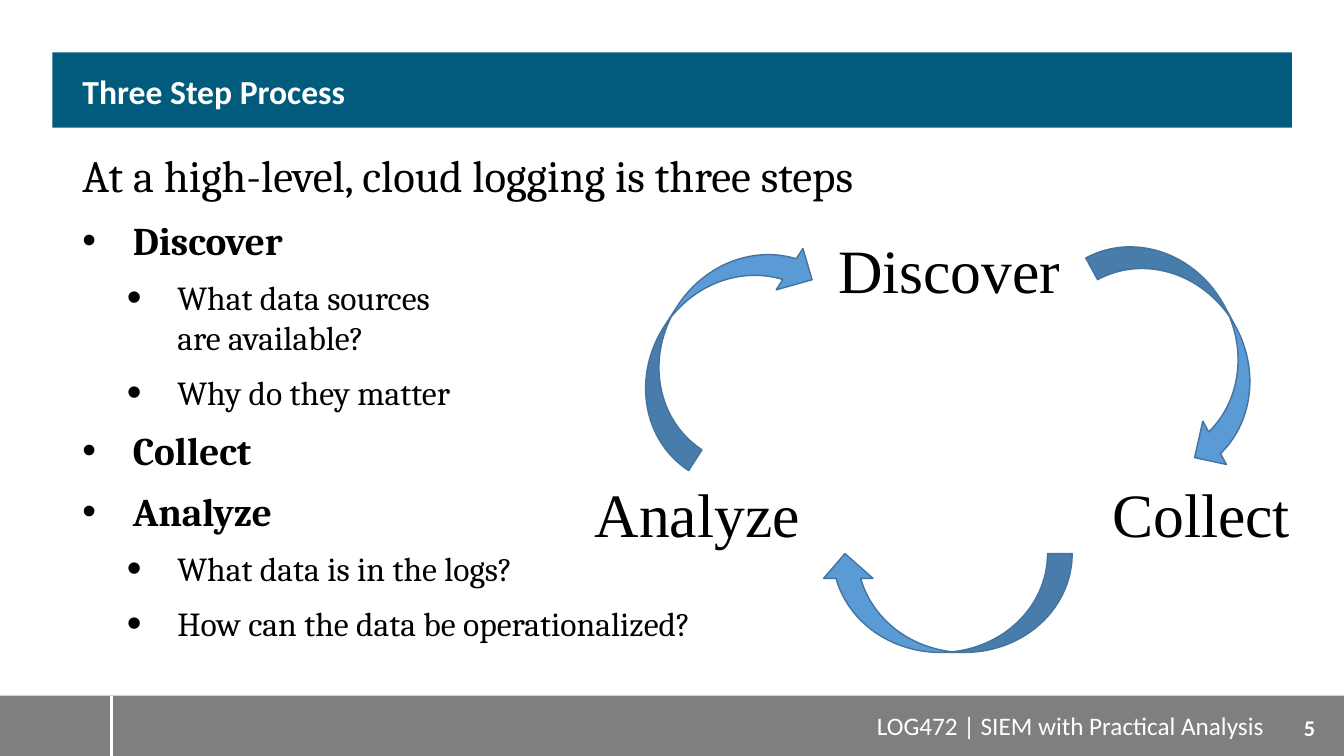
from collections import namedtuple

from lxml.etree import SubElement
from pptx import Presentation
from pptx.dml.color import RGBColor
from pptx.enum.shapes import MSO_CONNECTOR as Connector, MSO_SHAPE as Shape
from pptx.enum.text import MSO_ANCHOR as Anchor, PP_ALIGN as Align
from pptx.oxml.ns import qn
from pptx.util import Cm, Pt

WHITE = RGBColor(0xFF, 0xFF, 0xFF)
BLACK = RGBColor(0x00, 0x00, 0x00)
GRAY = RGBColor(0x7F, 0x7F, 0x7F)
TEAL = RGBColor(0x00, 0x5B, 0x7D)
ARROW_FILL = RGBColor(0x5B, 0x9B, 0xD5)
ARROW_LINE = RGBColor(0x43, 0x73, 0x9E)

Box = namedtuple("Box", "left top width height")

POINTS = [
    (0, "Discover"),
    (1, "What data sources\nare available?"),
    (1, "Why do they matter"),
    (0, "Collect"),
    (0, "Analyze"),
    (1, "What data is in the logs?"),
    (1, "How can the data be operationalized?"),
]
STEPS = [("Discover", 6.35, 0), ("Collect", 12.7, 6.15), ("Analyze", 0, 6.15)]
ARROWS = [(12.4, 1.73, 61.4), (6.27, 8.23, 180), (0.46, 1.55, 302.9)]


def add_run(paragraph, text, size, font_name, color, bold=False):
    """Append text to the paragraph, breaking lines at newlines."""
    for index, line in enumerate(text.split("\n")):
        if index:
            paragraph.add_line_break()
        run = paragraph.add_run()
        run.text = line
        run.font.size = Pt(size)
        run.font.name = font_name
        run.font.bold = bold
        run.font.color.rgb = color


def add_text_frame(slide, box, anchor=Anchor.TOP):
    """Add a wrapping text box and return its text frame."""
    shape = slide.shapes.add_textbox(*(Cm(length) for length in box))
    frame = shape.text_frame
    frame.word_wrap = True
    frame.vertical_anchor = anchor
    return frame


def add_label(slide, box, text, size, font_name, color, align, bold=False, anchor=Anchor.TOP):
    """Add a one-paragraph text box and return its text frame."""
    frame = add_text_frame(slide, box, anchor)
    paragraph = frame.paragraphs[0]
    paragraph.alignment = align
    add_run(paragraph, text, size, font_name, color, bold)
    return frame


def add_filled_shape(slide, kind, box, fill):
    """Add a preset shape with a solid fill, no line and no shadow."""
    shape = slide.shapes.add_shape(kind, *(Cm(length) for length in box))
    shape.shadow.inherit = False
    shape.fill.solid()
    shape.fill.fore_color.rgb = fill
    shape.line.fill.background()
    return shape


def add_bullet(paragraph, level):
    """Give the paragraph a hanging bullet that suits its level."""
    properties = paragraph._p.get_or_add_pPr()
    properties.set("marL", str(Cm(2.39 if level else 1.27)))
    properties.set("indent", str(-Cm(1.27)))
    if level:
        SubElement(properties, qn("a:buSzPct"), val="125000")
    SubElement(properties, qn("a:buFont"), typeface="Arial")
    SubElement(properties, qn("a:buChar"), char="•")


def add_footer(slide, box):
    """Draw the footer bar with its divider, course name and page number."""
    add_filled_shape(slide, Shape.RECTANGLE, box, GRAY)
    divider_x = Cm(box.left + 2.82)
    divider = slide.shapes.add_connector(
        Connector.STRAIGHT, divider_x, Cm(box.top), divider_x, Cm(box.top + box.height))
    divider.line.color.rgb = WHITE
    divider.line.width = Pt(2)
    SubElement(divider._element.spPr, qn("a:effectLst"))
    number_left = box.left + box.width - 1.77
    add_label(slide, Box(number_left - 16.93, box.top + 0.25, 16.93, 1.03),
              "LOG472 | SIEM with Practical Analysis", 18, "Calibri", WHITE, Align.RIGHT)
    add_label(slide, Box(number_left, box.top + 0.05, 1.8, box.height),
              "5", 16, "Calibri", WHITE, Align.CENTER, True, Anchor.MIDDLE)


def add_title(slide, box):
    """Draw the title bar and its heading."""
    add_filled_shape(slide, Shape.RECTANGLE, box, TEAL)
    heading_box = Box(box.left + 0.51, box.top, box.width - 1.02, box.height)
    frame = add_label(slide, heading_box, "Three Step Process", 24, "Calibri", WHITE,
                      Align.LEFT, True, Anchor.MIDDLE)
    frame.margin_top = Cm(0.18)
    frame.margin_bottom = 0
    frame.paragraphs[0].line_spacing = 0.9


def add_body(slide, box):
    """Write the lead sentence and the bulleted steps."""
    frame = add_text_frame(slide, box)
    add_run(frame.paragraphs[0], "At a high-level, cloud logging is three steps",
            32, "Cambria", BLACK)
    for level, text in POINTS:
        paragraph = frame.add_paragraph()
        paragraph.level = level
        paragraph.space_before = Pt(10)
        add_bullet(paragraph, level)
        add_run(paragraph, text, 24 if level else 28, "Cambria", BLACK, level == 0)


def add_cycle(slide, box):
    """Draw the three steps joined in a ring by curved arrows."""
    part_width = box.width / 3
    for text, left, top in STEPS:
        add_label(slide, Box(box.left + left, box.top + top, part_width, 2.13),
                  text, 44, "Times New Roman", BLACK, Align.CENTER)
    for left, top, rotation in ARROWS:
        arrow = add_filled_shape(
            slide, Shape.CURVED_DOWN_ARROW,
            Box(box.left + left, box.top + top, part_width, 2.49), ARROW_FILL)
        arrow.line.color.rgb = ARROW_LINE
        arrow.line.width = Pt(1)
        arrow.rotation = rotation


def main():
    """Build the slide and save it."""
    presentation = Presentation()
    presentation.slide_width = Cm(33.87)
    presentation.slide_height = Cm(19.05)
    slide = presentation.slides.add_slide(presentation.slide_layouts[6])
    add_footer(slide, Box(0, 17.53, 33.87, 1.52))
    add_title(slide, Box(1.32, 1.32, 31.24, 1.9))
    add_body(slide, Box(1.83, 3.61, 30.23, 13.54))
    add_cycle(slide, Box(14.4, 5.72, 19.05, 10.72))
    presentation.save("out.pptx")


if __name__ == "__main__":
    main()
